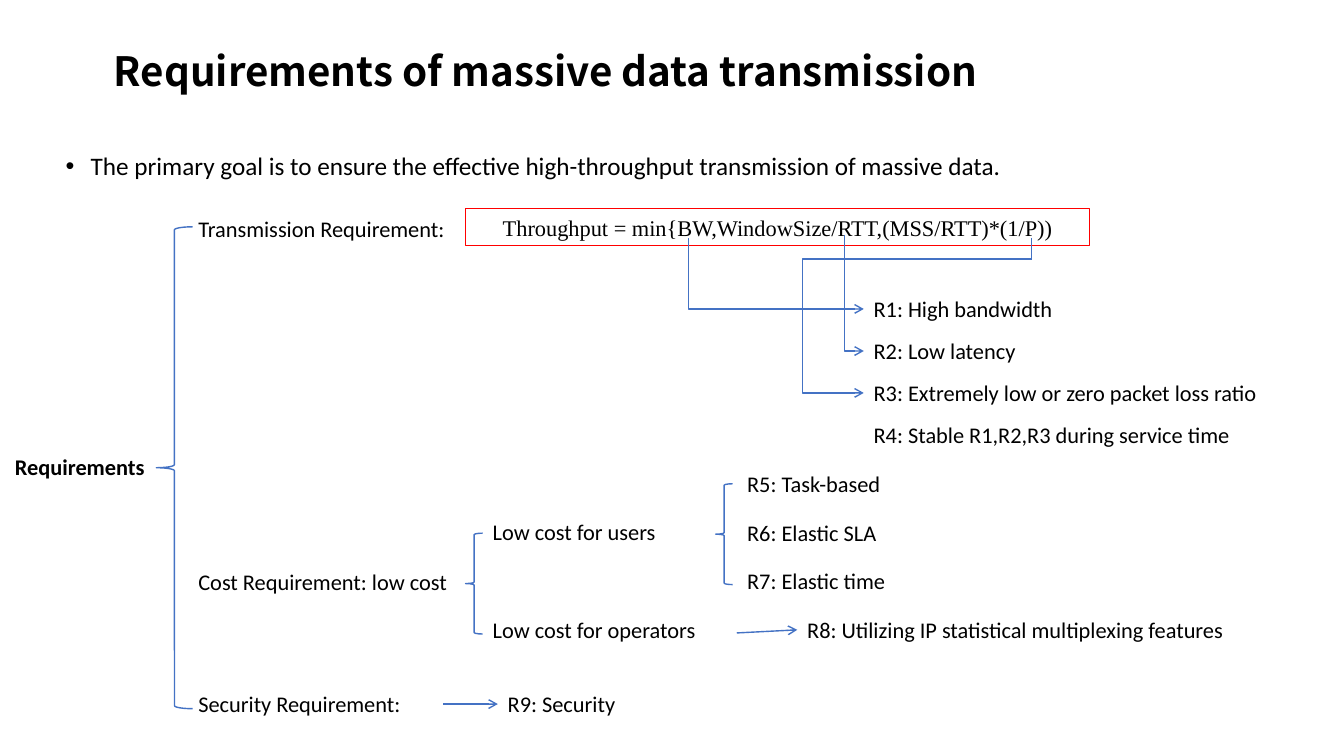
from lxml import etree
from pptx import Presentation
from pptx.dml.color import RGBColor
from pptx.enum.shapes import MSO_CONNECTOR, MSO_SHAPE
from pptx.enum.text import MSO_ANCHOR, MSO_AUTO_SIZE, PP_ALIGN
from pptx.oxml.ns import qn
from pptx.util import Pt

STRAIGHT, ELBOW = MSO_CONNECTOR.STRAIGHT, MSO_CONNECTOR.ELBOW
RECTANGLE, LEFT_BRACE = MSO_SHAPE.RECTANGLE, MSO_SHAPE.LEFT_BRACE
TOP, MIDDLE = MSO_ANCHOR.TOP, MSO_ANCHOR.MIDDLE
NO_FIT, GROW = MSO_AUTO_SIZE.NONE, MSO_AUTO_SIZE.SHAPE_TO_FIT_TEXT
LEFT, CENTER = PP_ALIGN.LEFT, PP_ALIGN.CENTER
LEFT_SIDE = 1

COLORS = {"text": "000000", "line": "4472C4", "formula": "FF0000"}
LABEL_HEIGHT = 26.6


def color(name):
    return RGBColor.from_string(COLORS[name])


def write(shape, text, size=16, font="Calibri", bold=False, align=LEFT, anchor=TOP, fit=GROW):
    frame = shape.text_frame
    frame.word_wrap = True
    frame.auto_size = fit
    frame.vertical_anchor = anchor
    para = frame.paragraphs[0]
    para.alignment = align
    span = para.add_run()
    span.text = text
    span.font.size = Pt(size)
    span.font.name = font
    span.font.bold = bold
    span.font.color.rgb = color("text")
    properties = span._r.get_or_add_rPr()
    etree.SubElement(properties, qn("a:ea")).set("typeface", font)
    return para


def label(page, left, top, width, text, bold=False):
    shape = page.shapes.add_textbox(Pt(left), Pt(top), Pt(width), Pt(LABEL_HEIGHT))
    write(shape, text, bold=bold)
    return shape


def outline(page, preset, left, top, width, height, line="line", weight=1):
    shape = page.shapes.add_shape(preset, Pt(left), Pt(top), Pt(width), Pt(height))
    shape.shadow.inherit = False
    shape.fill.background()
    shape.line.color.rgb = color(line)
    shape.line.width = Pt(weight)
    return shape


def connect(page, start, end, bend=None, arrow=True, target=None):
    kind = STRAIGHT if bend is None else ELBOW
    link = page.shapes.add_connector(kind, *(Pt(value) for value in start + end))
    link.line.color.rgb = color("line")
    link.line.width = Pt(1)
    properties = link._element.spPr
    if arrow:
        etree.SubElement(link.line._get_or_add_ln(), qn("a:tailEnd")).set("type", "arrow")
    etree.SubElement(properties, qn("a:effectLst"))
    if bend is not None:
        ratio = (bend - start[0]) / (end[0] - start[0])
        guides = properties.find(qn("a:prstGeom")).find(qn("a:avLst"))
        guide = etree.SubElement(guides, qn("a:gd"))
        guide.set("name", "adj1")
        guide.set("fmla", f"val {round(ratio * 100000)}")
    if target is not None:
        link.end_connect(target, LEFT_SIDE)


def place(shape, left, top, width, height):
    shape.left, shape.top, shape.width, shape.height = (
        Pt(value) for value in (left, top, width, height))


def heading(page, box):
    left, top, width, _ = box
    title, body = page.shapes.title, page.placeholders[1]
    place(title, left + 34.5, top, width - 80, 68)
    para = write(title, "Requirements of massive data transmission", size=28.8,
                 font="Noto Sans CJK SC", bold=True, fit=NO_FIT)
    title.text_frame.margin_top = 0
    para.line_spacing = 0.9
    place(body, left, top + 69.5, width, 32)
    para = write(body, "The primary goal is to ensure the effective high-throughput "
                 "transmission of massive data.", size=18, fit=NO_FIT)
    para.line_spacing = 0.9
    para.space_before = Pt(10)
    properties = para._p.get_or_add_pPr()
    properties.set("marL", str(Pt(18)))
    properties.set("indent", str(-Pt(18)))
    etree.SubElement(properties, qn("a:buFont")).set("typeface", "Arial")
    etree.SubElement(properties, qn("a:buChar")).set("char", "•")


def transmission(page, box):
    left, top, width, _ = box
    label(page, left, top + 0.8, 204, "Transmission Requirement:")
    formula = outline(page, RECTANGLE, left + 198, top, 445.7, LABEL_HEIGHT, "formula", 0.75)
    write(formula, "Throughput = min{BW,WindowSize/RTT,(MSS/RTT)*(1/P))",
          font="Times New Roman", align=CENTER, anchor=MIDDLE)
    goals = ("R1: High bandwidth", "R2: Low latency",
             "R3: Extremely low or zero packet loss ratio",
             "R4: Stable R1,R2,R3 during service time")
    goal_left, first_goal, step = left + 482.4, top + 58.4, 30
    for row, goal in enumerate(goals):
        label(page, goal_left, first_goal + row * step, width - 482.4, goal)
    loss_x = left + 602
    connect(page, (loss_x, top + 21), (loss_x, top + 37), arrow=False)
    routes = ((357.4, 21.6, 357), (468.8, 18.8, 468.8), (602, 36, 438.5))
    for row, (start_x, start_y, bend) in enumerate(routes):
        end = (goal_left, first_goal + row * step + LABEL_HEIGHT / 2)
        connect(page, (left + start_x, top + start_y), end, bend=left + bend)


def cost(page, box):
    left, top, width, _ = box
    label(page, left, top + 70, 204, "Cost Requirement: low cost")
    outline(page, LEFT_BRACE, left + 198, top + 48.3, 12.2, 72)
    label(page, left + 210.3, top + 34.1, 147, "Low cost for users")
    label(page, left + 210.3, top + 104, 185, "Low cost for operators")
    outline(page, LEFT_BRACE, left + 376.6, top + 13, 12.2, 72)
    for row, goal in enumerate(("R5: Task-based", "R6: Elastic SLA", "R7: Elastic time")):
        label(page, left + 392, top + row * 34.6, 180, goal)
    goal_left = left + 434.9
    goal = label(page, goal_left, top + 104, width - 434.9,
                 "R8: Utilizing IP statistical multiplexing features")
    connect(page, (left + 391.7, top + 119.5), (goal_left, top + 117.3), target=goal)


def security(page, box):
    left, top, _, height = box
    label(page, left, top, 170, "Security Requirement:")
    goal = label(page, left + 221, top, 186, "R9: Security")
    middle = top + height / 2
    connect(page, (left + 182.2, middle), (left + 221, middle), target=goal)


def tree_root(page, box):
    left, top, width, height = box
    label(page, left, top + height / 2 - LABEL_HEIGHT / 2 - 1, 108, "Requirements", bold=True)
    outline(page, LEFT_BRACE, left + width - 26, top, 26, height)


def build():
    deck = Presentation()
    deck.slide_width, deck.slide_height = Pt(960), Pt(540)
    page = deck.slides.add_slide(deck.slide_layouts[1])
    heading(page, (39.6, 37, 880.6, 102))
    tree_root(page, (3.6, 162, 134, 344.2))
    branch_left, branch_width = 134.6, 825.4
    transmission(page, (branch_left, 149, branch_width, 175))
    cost(page, (branch_left, 332.6, branch_width, 131))
    security(page, (branch_left, 489.6, branch_width, LABEL_HEIGHT))
    deck.save("out.pptx")


if __name__ == "__main__":
    build()
